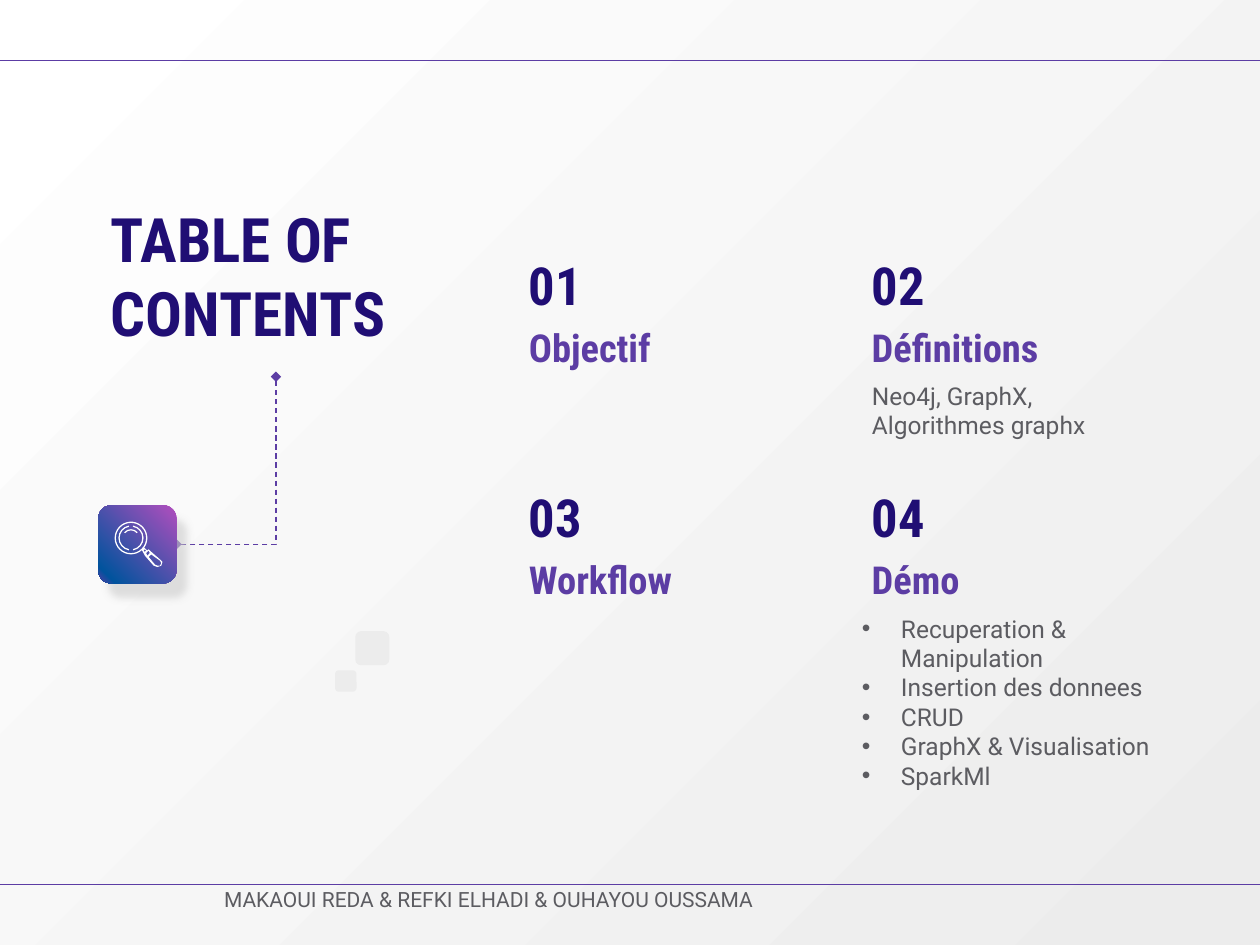
from dataclasses import dataclass
from math import ceil, cos, radians, sin, tan

from lxml import etree
from pptx import Presentation
from pptx.dml.color import RGBColor
from pptx.enum.dml import MSO_LINE
from pptx.enum.shapes import MSO_CONNECTOR, MSO_SHAPE
from pptx.enum.text import MSO_ANCHOR, MSO_AUTO_SIZE, PP_ALIGN
from pptx.oxml.ns import qn
from pptx.util import Inches, Pt

TOP, BOTTOM = MSO_ANCHOR.TOP, MSO_ANCHOR.BOTTOM
LEFT = PP_ALIGN.LEFT
NO_FIT = MSO_AUTO_SIZE.NONE
ROUNDED = MSO_SHAPE.ROUNDED_RECTANGLE
STRAIGHT, ELBOW = MSO_CONNECTOR.STRAIGHT, MSO_CONNECTOR.ELBOW
DASH = MSO_LINE.DASH
TWO_CONTENT = 3


@dataclass(frozen=True)
class Style:
    size: int
    color: str
    font: str = "Roboto Condensed"
    bold: bool = True


@dataclass(frozen=True)
class Theme:
    accent: str = "5C3DA4"
    pale: str = "ECECEC"
    white: str = "FFFFFF"
    shadow: str = "CCCCCC"
    badge: tuple = ((0, "B24EBE"), (89, "01539D"), (100, "5C3DA4"))
    title: Style = Style(35, "200E74")
    number: Style = Style(30, "200E74")
    heading: Style = Style(22, "5C3DA4")
    body: Style = Style(14, "5C5C61", "Roboto", False)
    footer: Style = Style(12, "5C5C61", "Roboto", False)


THEME = Theme()

COLUMNS = (4.1, 6.82)
ROWS = (1.93, 3.77)
SECTIONS = ("Objectif", "Définitions", "Workflow", "Démo")
DEMO_STEPS = ("Recuperation & Manipulation", "Insertion des donnees", "CRUD",
              "GraphX & Visualisation", "SparkMl")
LENS_CENTER = (1.04, 4.27)


def sub(parent, tag, **attributes):
    return etree.SubElement(parent, qn(tag), attributes)


def set_gradient(fill, owner, stops, angle):
    """Fill with (percent, colour) stops; the angle runs clockwise."""
    fill.gradient()
    fill.gradient_angle = 360 - angle
    stop_list = owner.find(".//" + qn("a:gsLst"))
    for stop in list(stop_list):
        stop_list.remove(stop)
    for percent, color in stops:
        sub(sub(stop_list, "a:gs", pos=str(percent * 1000)), "a:srgbClr", val=color)


def write_text(shape, paragraphs, style, anchor=TOP, bulleted=False):
    frame = shape.text_frame
    settings = {"word_wrap": True, "auto_size": NO_FIT, "vertical_anchor": anchor}
    settings.update({f"margin_{side}": Inches(0.1)
                     for side in ("left", "top", "right", "bottom")})
    for name, value in settings.items():
        setattr(frame, name, value)
    frame.text = "\n".join(paragraphs)
    indent = Inches(0.31) if bulleted else 0
    font_format = {"size": Pt(style.size), "bold": style.bold, "name": style.font}
    for paragraph in frame.paragraphs:
        paragraph.alignment = LEFT
        paragraph.space_before = Pt(0)
        font = paragraph.runs[0].font
        for name, value in font_format.items():
            setattr(font, name, value)
        font.color.rgb = RGBColor.from_string(style.color)
        properties = paragraph._p.get_or_add_pPr()
        properties.set("marL", str(indent))
        properties.set("indent", str(-indent))
        if bulleted:
            sub(sub(properties, "a:buClr"), "a:srgbClr", val=style.color)
            sub(properties, "a:buChar", char="•")
        else:
            sub(properties, "a:buNone")


def fill_placeholder(placeholder, box, paragraphs, style, **options):
    for name, value in zip(("left", "top", "width", "height"), box):
        setattr(placeholder, name, Inches(value))
    write_text(placeholder, paragraphs, style, **options)


def add_label(slide, box, text, style, anchor=TOP):
    label = slide.shapes.add_textbox(*map(Inches, box))
    write_text(label, [text], style, anchor)


def add_line(slide, kind, *ends):
    line = slide.shapes.add_connector(kind, *map(Inches, ends))
    line.line.color.rgb = RGBColor.from_string(THEME.accent)
    line.line.width = Pt(0.75)
    sub(line.element.spPr, "a:effectLst")
    return line


def add_title_link(slide):
    """Dashed elbow from under the title down to the badge."""
    link = add_line(slide, ELBOW, 1.13, 3.26, 2.46, 4.05)
    link.line.dash_style = DASH
    properties = link.element.spPr
    properties.find(qn("a:prstGeom")).set("prst", "bentConnector2")
    properties.find(qn("a:xfrm")).set("rot", str(90 * 60000))
    outline = properties.find(qn("a:ln"))
    for end in ("a:headEnd", "a:tailEnd"):
        sub(outline, end, type="diamond")


def paint(shape, color):
    shape.shadow.inherit = False
    shape.line.fill.background()
    shape.fill.solid()
    shape.fill.fore_color.rgb = RGBColor.from_string(color)


def add_square(slide, left, top, side):
    square = slide.shapes.add_shape(ROUNDED, *map(Inches, (left, top, side, side)))
    paint(square, THEME.pale)
    return square


def add_badge(slide):
    badge = add_square(slide, 0.78, 4.01, 0.62)
    set_gradient(badge.fill, badge.element, THEME.badge, 135)
    effects = badge.element.spPr.find(qn("a:effectLst"))
    shadow = sub(effects, "a:outerShdw", blurRad=str(Pt(4.5)), dist=str(Pt(9.8)),
                 dir=str(55 * 60000), algn="bl", rotWithShape="0")
    sub(sub(shadow, "a:srgbClr", val=THEME.shadow), "a:alpha", val="60000")


def arc(radius, start, end):
    """Start point, then Bezier triples round the lens, clockwise from the right."""
    def place(angle, pull=0):
        a = radians(angle)
        return (LENS_CENTER[0] + radius * (cos(a) - pull * sin(a)),
                LENS_CENTER[1] + radius * (sin(a) + pull * cos(a)))

    count = ceil(abs(end - start) / 90)
    step = (end - start) / count
    pull = 4 / 3 * tan(radians(step) / 4)
    angles = [start + step * i for i in range(count + 1)]
    return [(place(start),)] + [(place(a, pull), place(b, -pull), place(b))
                                for a, b in zip(angles, angles[1:])]


def corners(*points):
    return [(point,) for point in points]


def add_outline(slide, *contours):
    """White shape of one-point lines and three-point curves; later contours cut holes."""
    builder = None
    for contour in contours:
        first, *rest = [tuple(map(Inches, point)) for piece in contour for point in piece]
        if builder:
            builder.move_to(*first)
        else:
            builder = slide.shapes.build_freeform(*first)
        builder.add_line_segments(rest, close=True)
    outline = builder.convert_to_shape()
    paint(outline, THEME.white)
    steps = iter(list(outline.element.iter(qn("a:lnTo"))))
    for piece in [piece for contour in contours for piece in contour[1:]]:
        first, *rest = [next(steps) for _ in piece]
        if rest:
            first.tag = qn("a:cubicBezTo")
            for step in rest:
                first.append(step[0])
                step.getparent().remove(step)


def add_magnifier(slide):
    handle = corners((1.17, 4.37), (1.18, 4.36), (1.19, 4.37), (1.27, 4.44), (1.29, 4.46),
                     (1.28, 4.49), (1.25, 4.5), (1.22, 4.49), (1.15, 4.41), (1.14, 4.39))
    collar = corners((1.15, 4.36), (1.16, 4.37), (1.15, 4.38), (1.14, 4.37))
    ferrule = corners((1.18, 4.37), (1.19, 4.39), (1.17, 4.41), (1.16, 4.39))
    grip = corners((1.2, 4.4), (1.27, 4.45), (1.28, 4.47), (1.27, 4.49),
                   (1.25, 4.49), (1.23, 4.48), (1.18, 4.42))
    glints = ((0.07, 220, 320), (0.1, -80, 80), (0.1, 100, 260))
    add_outline(slide, arc(0.13, 48, 396) + handle, arc(0.12, 360, 0),
                collar, ferrule, grip)
    for radius, start, end in glints:
        add_outline(slide, arc(radius, start, end) + arc(radius - 0.01, end, start))


def main():
    deck = Presentation()
    deck.slide_width, deck.slide_height = Inches(10), Inches(7.5)
    slide = deck.slides.add_slide(deck.slide_layouts[TWO_CONTENT])
    set_gradient(slide.background.fill, slide.element,
                 ((0, THEME.white), (100, THEME.pale)), 45)

    for y in (0.48, 7.02):
        add_line(slide, STRAIGHT, 0, y, 10, y)

    title, definitions, demo = slide.placeholders
    fill_placeholder(title, (0.78, 1.5, 2.82, 1.49), ["TABLE OF CONTENTS"], THEME.title)
    fill_placeholder(definitions, (6.82, 2.92, 2.4, 0.64),
                     ["Neo4j, GraphX, Algorithmes graphx"], THEME.body)
    fill_placeholder(demo, (6.74, 4.77, 2.83, 1.43), DEMO_STEPS, THEME.body, bulleted=True)

    for index, heading in enumerate(SECTIONS):
        left, top = COLUMNS[index % 2], ROWS[index // 2]
        add_label(slide, (left, top, 2.4, 0.68), f"{index + 1:02}", THEME.number, BOTTOM)
        add_label(slide, (left, top + 0.68, 2.4, 0.43), heading, THEME.heading, BOTTOM)

    add_square(slide, 2.82, 5.01, 0.27)
    add_square(slide, 2.66, 5.32, 0.17)
    add_title_link(slide)
    add_badge(slide)
    add_magnifier(slide)
    add_label(slide, (1.68, 6.94, 4.95, 0.37),
              "MAKAOUI REDA & REFKI ELHADI & OUHAYOU OUSSAMA", THEME.footer)
    deck.save("out.pptx")


if __name__ == "__main__":
    main()
